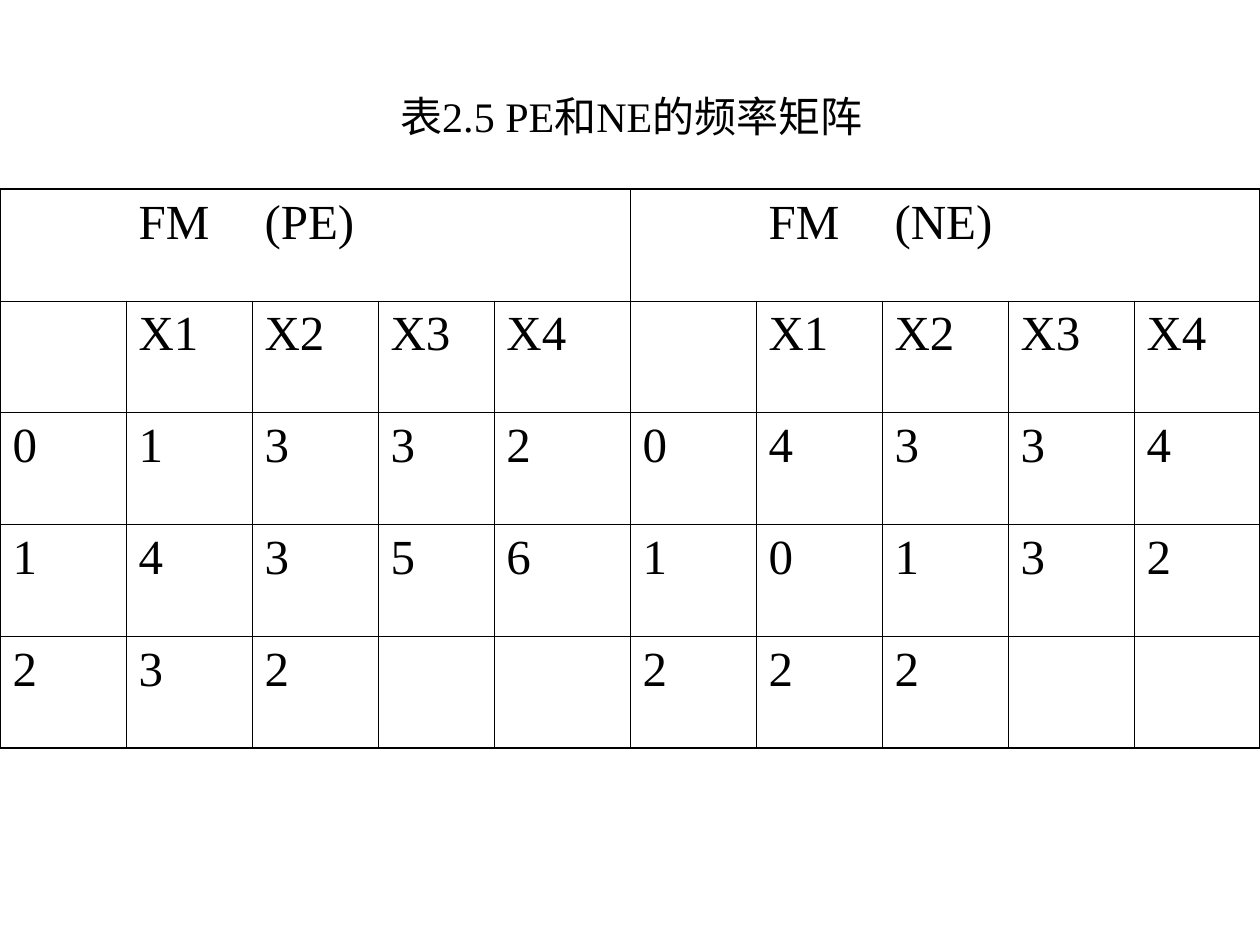
from lxml import etree
from pptx import Presentation
from pptx.dml.color import RGBColor
from pptx.enum import text
from pptx.oxml import ns
from pptx.util import Inches, Pt

TITLE = "表2.5 PE和NE的频率矩阵"
POSITIVE = [
    ("", "FM", "(PE)", "", ""),
    ("", "X1", "X2", "X3", "X4"),
    ("0", "1", "3", "3", "2"),
    ("1", "4", "3", "5", "6"),
    ("2", "3", "2", "", ""),
]
NEGATIVE = [
    ("", "FM", "(NE)", "", ""),
    ("", "X1", "X2", "X3", "X4"),
    ("0", "4", "3", "3", "4"),
    ("1", "0", "1", "3", "2"),
    ("2", "2", "2", "", ""),
]
ROWS = [left + right for left, right in zip(POSITIVE, NEGATIVE)]
COLUMN_WIDTHS = [1, 1, 1, 0.92, 1.08, 1, 1, 1, 1, 1]
TABLE_HEIGHT = 4.44
OUTER, INNER = Pt(1.08), Pt(0.45)
FONT = "Times New Roman"
BLACK = RGBColor(0, 0, 0)


def write(paragraph, words, size):
    run = paragraph.add_run()
    run.text = words
    run.font.name = FONT
    run.font.size = Pt(size)
    run.font.color.rgb = BLACK


def vertical_width(row, edge):
    """Width of the vertical rule at a column edge; None inside a heading."""
    if edge in (0, len(COLUMN_WIDTHS)):
        return OUTER
    if row == 0 and edge != len(POSITIVE[0]):
        return None
    return INNER


def horizontal_width(edge):
    return OUTER if edge in (0, len(ROWS)) else INNER


def set_border(cell, side, width):
    properties = cell._tc.get_or_add_tcPr()
    line = etree.SubElement(properties, ns.qn(f"a:ln{side}"))
    if width is None:
        etree.SubElement(line, ns.qn("a:noFill"))
        return
    line.set("w", str(int(width)))
    fill = etree.SubElement(line, ns.qn("a:solidFill"))
    etree.SubElement(fill, ns.qn("a:srgbClr"), val=str(BLACK))


presentation = Presentation()
presentation.slide_width, presentation.slide_height = Inches(10), Inches(7.5)
slide = presentation.slides.add_slide(presentation.slide_layouts[5])

title = slide.shapes.title
title.left, title.top = Inches(0.5), Inches(0.67)
title.width, title.height = Inches(9.02), Inches(0.5)
frame = title.text_frame
frame.auto_size = text.MSO_AUTO_SIZE.NONE
frame.vertical_anchor = text.MSO_ANCHOR.TOP
frame.paragraphs[0].alignment = text.PP_ALIGN.CENTER
write(frame.paragraphs[0], TITLE, 24)

table = slide.shapes.add_table(
    len(ROWS), len(COLUMN_WIDTHS),
    Inches(0), Inches(1.5), Inches(10), Inches(TABLE_HEIGHT),
).table
table.first_row = table.horz_banding = False
for column, width in zip(table.columns, COLUMN_WIDTHS):
    column.width = Inches(width)

for r, values in enumerate(ROWS):
    table.rows[r].height = Inches(TABLE_HEIGHT / len(ROWS))
    for c, value in enumerate(values):
        cell = table.cell(r, c)
        set_border(cell, "L", vertical_width(r, c))
        set_border(cell, "R", vertical_width(r, c + 1))
        set_border(cell, "T", horizontal_width(r))
        set_border(cell, "B", horizontal_width(r + 1))
        cell.fill.background()
        if value:
            write(cell.text_frame.paragraphs[0], value, 28)

presentation.save("out.pptx")
